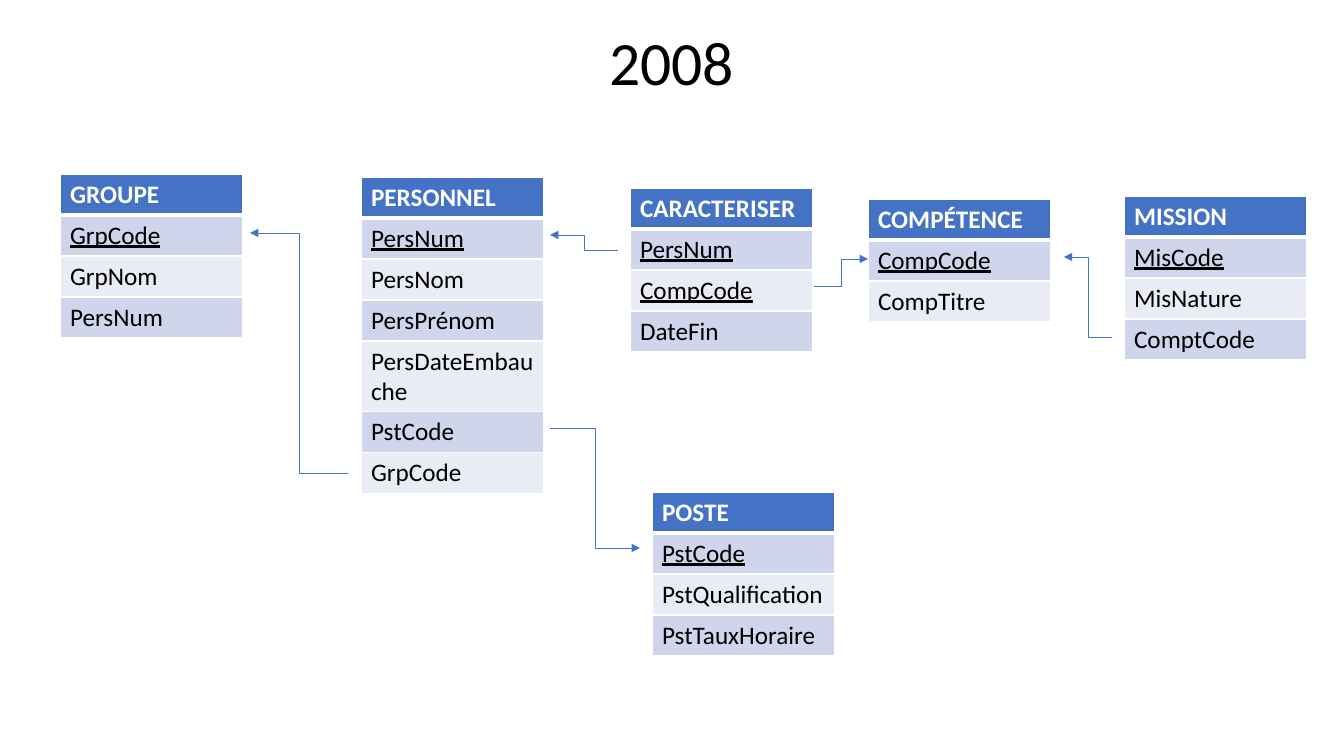
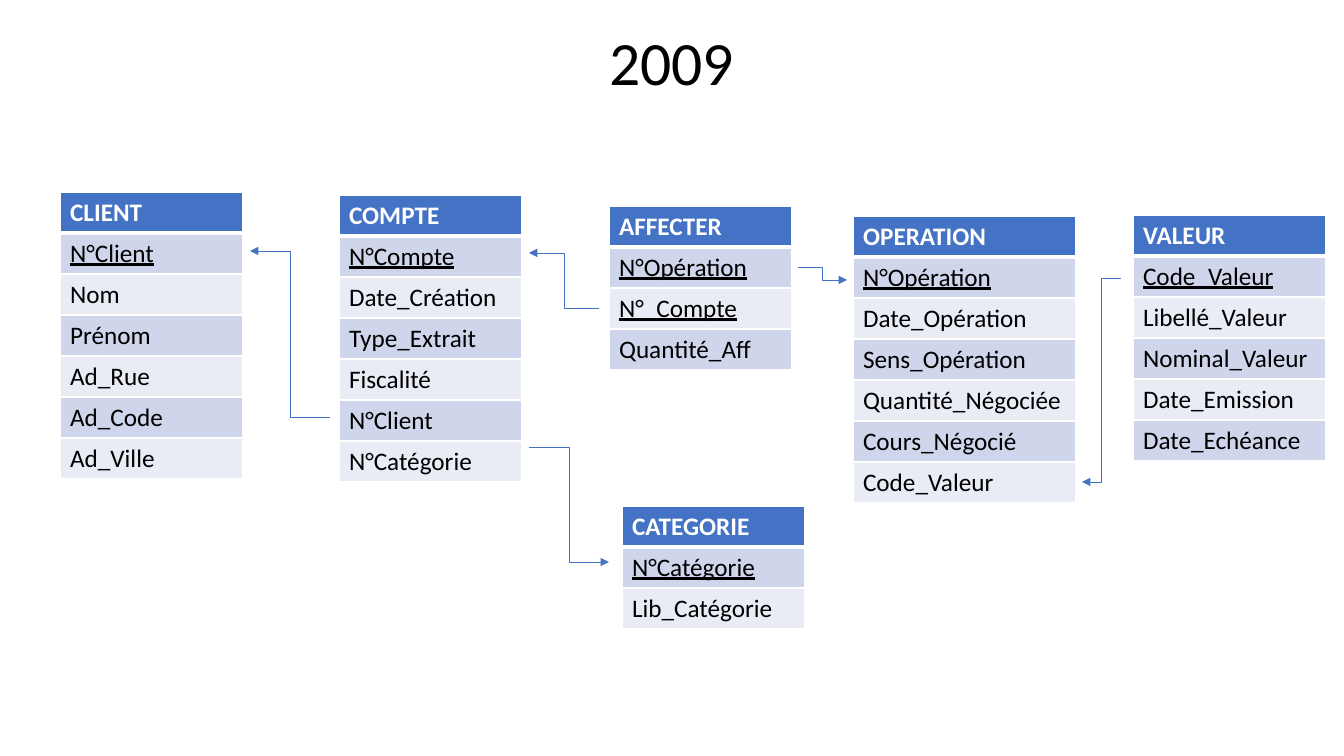
import lxml.etree
import pptx
import pptx.dml.color
import pptx.enum.shapes
import pptx.enum.text
import pptx.oxml.ns
import pptx.util

SLIDE_WIDTH, SLIDE_HEIGHT = 1344, 756
EMU_PER_PX = 12192000 / SLIDE_WIDTH

BLUE = pptx.dml.color.RGBColor(0x44, 0x72, 0xC4)
DARK_BAND = pptx.dml.color.RGBColor(0xCF, 0xD5, 0xEA)
LIGHT_BAND = pptx.dml.color.RGBColor(0xE9, 0xEB, 0xF5)
WHITE = pptx.dml.color.RGBColor(0xFF, 0xFF, 0xFF)
BLACK = pptx.dml.color.RGBColor(0x00, 0x00, 0x00)

FONT = "Calibri"
ROW_HEIGHT = 41
COLUMN_WIDTH = 183


def px(length):
    return pptx.util.Emu(round(length * EMU_PER_PX))


def add_xml(parent, tag, **attributes):
    return lxml.etree.SubElement(parent, pptx.oxml.ns.qn(tag), attributes)


class SchemaDeck:
    """Relational schemas: one titled slide of linked tables per year."""

    def __init__(self):
        self.presentation = pptx.Presentation()
        self.presentation.slide_width = px(SLIDE_WIDTH)
        self.presentation.slide_height = px(SLIDE_HEIGHT)
        self.slide = None

    def new_slide(self, title):
        blank_layout = self.presentation.slide_layouts[6]
        self.slide = self.presentation.slides.add_slide(blank_layout)
        self.title(title)

    def add_text(self, paragraph, text, size, color, **formats):
        run = paragraph.add_run()
        run.text = text
        run.font.color.rgb = color
        formats.update(name=FONT, size=pptx.util.Pt(size))
        for name, value in formats.items():
            setattr(run.font, name, value)

    def title(self, text):
        box = self.slide.shapes.add_textbox(px(168), px(27), px(1008), px(71))
        box.text_frame.word_wrap = True
        paragraph = box.text_frame.paragraphs[0]
        paragraph.alignment = pptx.enum.text.PP_ALIGN.CENTER
        paragraph.line_spacing = 0.9
        self.add_text(paragraph, text, 44, BLACK)

    def borders(self, cell, top, bottom):
        properties = cell._tc.get_or_add_tcPr()
        widths = {"a:lnL": 1, "a:lnR": 1, "a:lnT": top, "a:lnB": bottom}
        for tag, width in widths.items():
            line = add_xml(properties, tag, w=str(pptx.util.Pt(width)))
            add_xml(add_xml(line, "a:solidFill"), "a:srgbClr", val=str(WHITE))

    def table(self, left, top, name, fields, keys=1, width=COLUMN_WIDTH):
        """The first `keys` fields are underlined as the primary key."""
        labels = [name] + fields
        frame = self.slide.shapes.add_table(
            len(labels), 1, px(left), px(top), px(width), px(ROW_HEIGHT * len(labels)))
        for index, label in enumerate(labels):
            frame.table.rows[index].height = px(ROW_HEIGHT)
            cell = frame.table.cell(index, 0)
            header = index == 0
            self.borders(cell, top=3 if index == 1 else 1, bottom=3 if header else 1)
            cell.fill.solid()
            band = DARK_BAND if index % 2 else LIGHT_BAND
            cell.fill.fore_color.rgb = BLUE if header else band
            self.add_text(cell.text_frame.paragraphs[0], label, 18,
                          WHITE if header else BLACK,
                          bold=header, underline=1 <= index <= keys)

    def arrow(self, start_x, start_y, end_x, end_y):
        connector = self.slide.shapes.add_connector(
            pptx.enum.shapes.MSO_CONNECTOR.ELBOW,
            px(start_x), px(start_y), px(end_x), px(end_y))
        connector.line.color.rgb = BLUE
        connector.line.width = pptx.util.Pt(0.5)
        properties = connector._element.spPr
        line = properties.find(pptx.oxml.ns.qn("a:ln"))
        add_xml(line, "a:tailEnd", type="triangle")
        add_xml(properties, "a:effectLst")


def personnel_schema(deck):
    deck.new_slide("2008")

    # Tables
    deck.table(60, 174, "GROUPE", ["GrpCode", "GrpNom", "PersNum"])
    deck.table(652, 492, "POSTE", ["PstCode", "PstQualification", "PstTauxHoraire"])
    deck.table(361, 177, "PERSONNEL", ["PersNum", "PersNom", "PersPrénom",
                                       "PersDateEmbauche", "PstCode", "GrpCode"])
    deck.table(868, 199, "COMPÉTENCE", ["CompCode", "CompTitre"])
    deck.table(1124, 196, "MISSION", ["MisCode", "MisNature", "ComptCode"])
    deck.table(630, 188, "CARACTERISER", ["PersNum", "CompCode", "DateFin"], keys=2)

    # Foreign key arrows
    for ends in [(348, 473, 250, 233), (550, 428, 640, 548), (814, 286, 868, 259),
                 (1112, 337, 1064, 257), (618, 250, 550, 235)]:
        deck.arrow(*ends)


def account_schema(deck):
    deck.new_slide("2009")

    # Tables
    deck.table(60, 192, "CLIENT", ["N°Client", "Nom", "Prénom",
                                   "Ad_Rue", "Ad_Code", "Ad_Ville"])
    deck.table(622, 506, "CATEGORIE", ["N°Catégorie", "Lib_Catégorie"])
    deck.table(339, 195, "COMPTE", ["N°Compte", "Date_Création", "Type_Extrait",
                                    "Fiscalité", "N°Client", "N°Catégorie"])
    deck.table(853, 216, "OPERATION", ["N°Opération", "Date_Opération",
                                       "Sens_Opération", "Quantité_Négociée",
                                       "Cours_Négocié", "Code_Valeur"], width=223)
    deck.table(1133, 215, "VALEUR", ["Code_Valeur", "Libellé_Valeur", "Nominal_Valeur",
                                     "Date_Emission", "Date_Echéance"], width=193)
    deck.table(609, 206, "AFFECTER", ["N°Opération", "N°_Compte", "Quantité_Aff"], keys=2)

    # Foreign key arrows
    for ends in [(330, 417, 250, 251), (529, 447, 609, 562), (798, 267, 847, 280),
                 (1121, 278, 1082, 482), (599, 308, 529, 253)]:
        deck.arrow(*ends)


def main():
    deck = SchemaDeck()
    personnel_schema(deck)
    account_schema(deck)
    deck.presentation.save("out.pptx")


if __name__ == "__main__":
    main()
